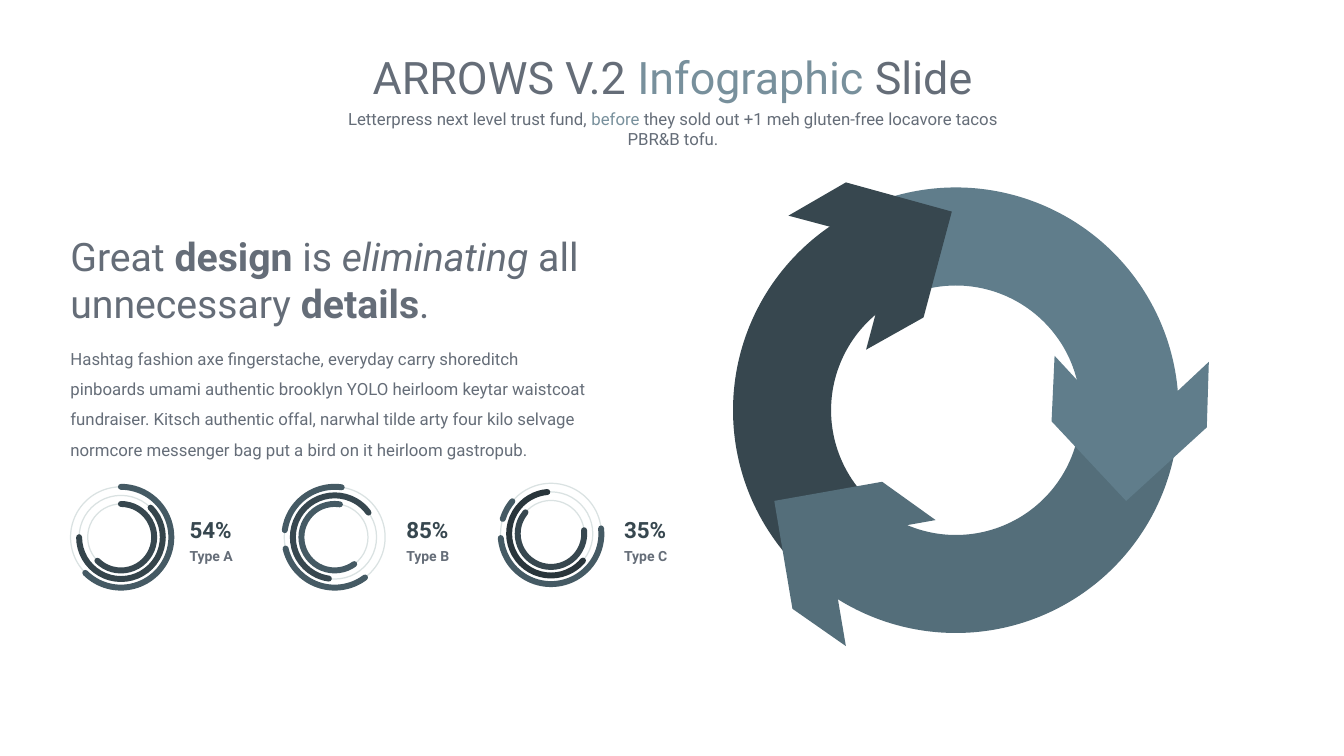
from dataclasses import dataclass

from pptx import Presentation
from pptx.dml.color import RGBColor
from pptx.enum.shapes import MSO_SHAPE as Preset
from pptx.enum.text import PP_ALIGN as Align
from pptx.oxml.ns import qn
from pptx.util import Emu, Inches, Pt

FONT = "Roboto"
CELL = Inches(0.1)  # the slide is a grid of 133.3 columns by 75 rows
COLORS = {
    "text": "656D78", "accent": "78909C", "track": "DAE2E2",
    "steel": "455A64", "slate": "37474F", "shade": "34444B", "night": "29353B",
    "teal": "546E7A", "blue": "607D8B",
}


@dataclass
class Span:
    text: str
    color: str = "text"
    bold: bool = False
    italic: bool = False


@dataclass
class TextBlock:
    col: float
    row: float
    cols: float
    rows: float
    size: float
    spans: list[Span]
    align: Align = Align.LEFT
    spacing: float | None = None
    padded: bool = True


@dataclass
class CycleArrow:
    color: str
    start: float
    end: float
    head: list[tuple[float, float]]


@dataclass
class Arc:
    ring: int
    start: float
    end: float
    color: str


@dataclass
class Gauge:
    col: float
    row: float
    value: str
    label: str
    label_col: float
    arcs: list[Arc]


HEADINGS = [
    TextBlock(25.4, 4.4, 82.6, 6.4, 32, [
        Span("ARROWS V.2 "), Span("Infographic ", "accent"), Span("Slide")], Align.CENTER),
    TextBlock(32, 10.3, 69.5, 5, 12, [
        Span("Letterpress next level trust fund, "), Span("before", "accent"),
        Span(" they sold out +1 meh gluten-free locavore tacos PBR&B tofu.")], Align.CENTER),
    TextBlock(6, 22.6, 54.6, 10.4, 28, [
        Span("Great "), Span("design", bold=True), Span(" is "),
        Span("eliminating", italic=True), Span(" all unnecessary "),
        Span("details", bold=True), Span(".")]),
    TextBlock(6, 33.1, 53.2, 13.1, 12, [Span(
        "Hashtag fashion axe fingerstache, everyday carry shoreditch pinboards umami "
        "authentic brooklyn YOLO heirloom keytar waistcoat fundraiser. Kitsch authentic "
        "offal, narwhal tilde arty four kilo selvage normcore messenger bag put a bird "
        "on it heirloom gastropub.")], spacing=1.5),
]

CYCLE_COL, CYCLE_ROW, CYCLE_RADIUS = 94.8, 40.7, 22.1
BAND_SHARE = 0.22  # band width as a share of the diameter
CYCLE = [
    CycleArrow("slate", 135, 250, [
        (85.9, 34.7), (88.7, 24.2), (78.2, 21.4), (83.9, 18.1), (94.4, 21), (91.6, 31.5)]),
    CycleArrow("teal", 9, 135, [
        (92.8, 51.6), (82.1, 53.5), (83.9, 64.1), (78.6, 60.4), (76.8, 49.7), (87.5, 47.8)]),
    CycleArrow("blue", 250, 9, [
        (104.6, 35.3), (112, 43.3), (119.9, 35.9), (119.7, 42.4), (111.7, 49.7), (104.3, 41.8)]),
]

RING_RADII = (5, 4.15, 3.3)
GAUGES = [
    Gauge(12, 53.3, "54%", "Type A", 18.8, [
        Arc(0, 270, 135, "steel"), Arc(1, 315, 180, "shade"), Arc(2, 270, 135, "slate")]),
    Gauge(33.2, 53.3, "85%", "Type B", 40.3, [
        Arc(0, 188, 278, "steel"), Arc(0, 53, 167, "steel"),
        Arc(1, 98, 324, "slate"), Arc(2, 54, 279, "steel")]),
    Gauge(54.65, 52.95, "35%", "Type C", 61.9, [
        Arc(0, 197, 220, "steel"), Arc(0, 354, 175, "steel"),
        Arc(1, 40, 265, "night"), Arc(2, 354, 220, "slate")]),
]


def grid(cells: float) -> Emu:
    return Emu(round(cells * CELL))


def rgb(name: str) -> RGBColor:
    return RGBColor.from_string(COLORS[name])


def angle(degrees: float) -> float:
    """Turn degrees into the adjustment unit of arc presets."""
    return degrees * 60000 / 100000


def add_text(page, block: TextBlock) -> None:
    box = page.shapes.add_textbox(*map(grid, (block.col, block.row, block.cols, block.rows)))
    frame = box.text_frame
    frame.word_wrap = block.padded
    if not block.padded:
        frame.margin_left = frame.margin_right = frame.margin_top = frame.margin_bottom = 0
    para = frame.paragraphs[0]
    para.alignment = block.align
    para.line_spacing = block.spacing
    for span in block.spans:
        run = para.add_run()
        run.text = span.text
        run.font.name, run.font.size = FONT, Pt(block.size)
        run.font.bold, run.font.italic = span.bold, span.italic
        run.font.color.rgb = rgb(span.color)


def add_round(page, preset: Preset, col: float, row: float, radius: float):
    """Add a round preset by its centre and radius."""
    size = grid(2 * radius)
    shape = page.shapes.add_shape(preset, grid(col - radius), grid(row - radius), size, size)
    shape.shadow.inherit = False
    return shape


def fill_plain(shape, color: str) -> None:
    shape.shadow.inherit = False
    shape.fill.solid()
    shape.fill.fore_color.rgb = rgb(color)
    shape.line.fill.background()


def outline(shape, color: str, width: float) -> None:
    shape.fill.background()
    shape.line.color.rgb = rgb(color)
    shape.line.width = Pt(width)


def add_band(page, arrow: CycleArrow) -> None:
    band = add_round(page, Preset.BLOCK_ARC, CYCLE_COL, CYCLE_ROW, CYCLE_RADIUS)
    band.adjustments[0] = angle(arrow.start)
    band.adjustments[1] = angle(arrow.end)
    band.adjustments[2] = BAND_SHARE
    fill_plain(band, arrow.color)


def add_head(page, arrow: CycleArrow) -> None:
    points = [(grid(col), grid(row)) for col, row in arrow.head]
    builder = page.shapes.build_freeform(*points[0])
    builder.add_line_segments(points[1:], close=True)
    fill_plain(builder.convert_to_shape(), arrow.color)


def add_gauge(page, gauge: Gauge) -> None:
    for radius in RING_RADII:
        track = add_round(page, Preset.OVAL, gauge.col, gauge.row, radius)
        outline(track, "track", 0.88)
    for arc in gauge.arcs:
        stroke = add_round(page, Preset.ARC, gauge.col, gauge.row, RING_RADII[arc.ring])
        stroke.adjustments[0] = angle(arc.start)
        stroke.adjustments[1] = angle(arc.end)
        outline(stroke, arc.color, 4.25)
        stroke.element.spPr.find(qn("a:ln")).set("cap", "rnd")
    value = Span(gauge.value, "slate", bold=True)
    label = Span(gauge.label, bold=True)
    for row, rows, size, span in ((51.5, 2.9, 16, value), (54.5, 2.3, 10, label)):
        add_text(page, TextBlock(gauge.label_col, row, 4.9, rows, size, [span],
                                 spacing=0.9, padded=False))


def main() -> None:
    deck = Presentation()
    deck.slide_width, deck.slide_height = Inches(13.33), Inches(7.5)
    page = deck.slides.add_slide(deck.slide_layouts[6])
    for block in HEADINGS:
        add_text(page, block)
    for arrow in CYCLE:
        add_band(page, arrow)
    for arrow in CYCLE:
        add_head(page, arrow)
    for gauge in GAUGES:
        add_gauge(page, gauge)
    deck.save("out.pptx")


if __name__ == "__main__":
    main()
